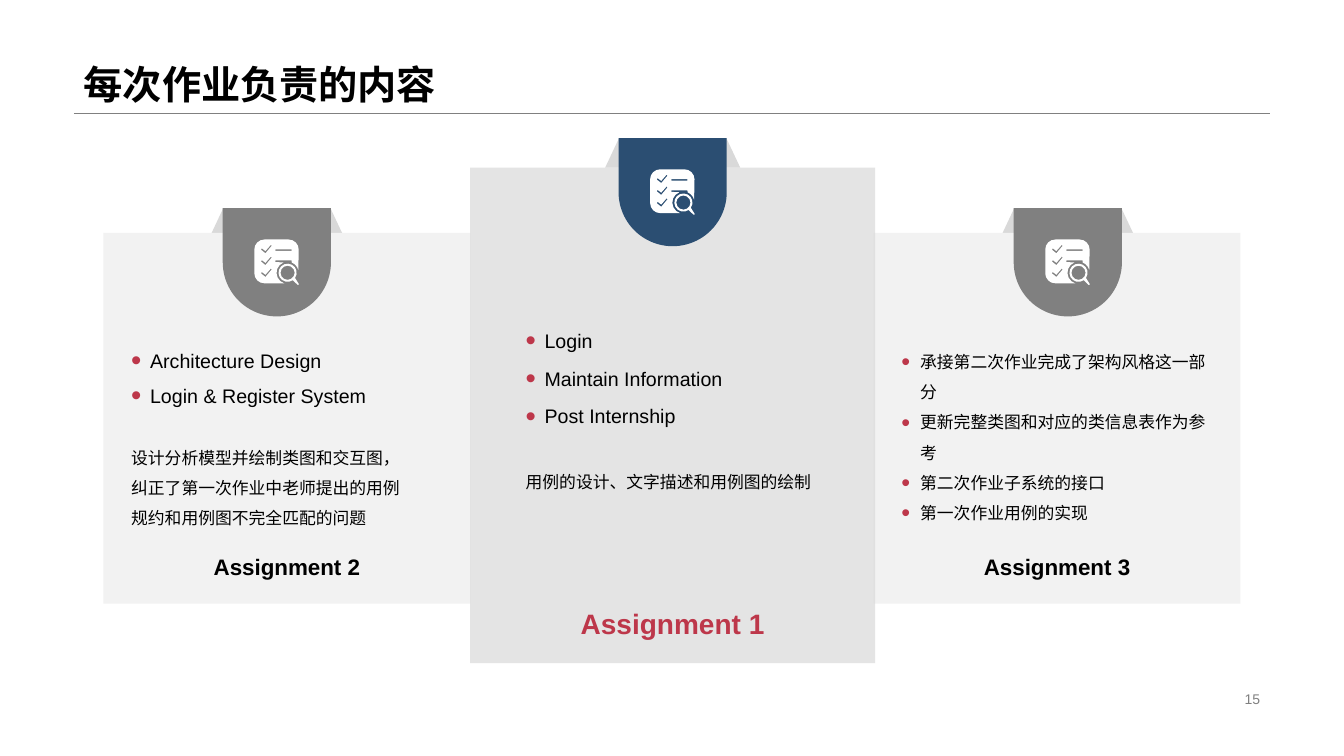
import dataclasses
import math

import lxml.etree
import pptx
import pptx.dml.color
import pptx.enum.shapes
import pptx.enum.text
import pptx.oxml.ns
import pptx.util

SHAPES = pptx.enum.shapes.MSO_SHAPE
ALIGN = pptx.enum.text.PP_ALIGN
ANCHOR = pptx.enum.text.MSO_ANCHOR

# The slide is a grid of 40 columns by 22.5 rows of square cells
SLIDE_WIDTH, SLIDE_HEIGHT = pptx.util.Inches(13.33), pptx.util.Inches(7.5)
CELL = SLIDE_WIDTH / 40
CENTRE = 20.02


@dataclasses.dataclass(frozen=True)
class Theme:
    font: str = "Arial"
    black: str = "000000"
    white: str = "FFFFFF"
    red: str = "BD374A"
    navy: str = "2B4E72"
    grey: str = "808080"
    fold: str = "D9D9D9"
    card: str = "F2F2F2"
    title_size: int = 28
    main_label_size: int = 20
    label_size: int = 16
    item_size: int = 14
    note_size: int = 12
    page_size: int = 10


THEME = Theme()


@dataclasses.dataclass(frozen=True)
class Card:
    label: str
    centre: float
    badge_centre: float
    top: float
    width: float
    height: float
    badge_top: float
    badge_colour: str
    text_area: tuple
    items: tuple
    item_size: int
    spacing: float = 1.5
    note: str = ""
    main: bool = False


def side_card(label, side, text_area, items, item_size, note=""):
    return Card(label, 20 + side * 11.46, 20.01 + side * 11.77, 6.93, 10.92, 11.04,
                6.2, THEME.grey, text_area, items, item_size, note=note)


CARDS = (
    side_card("Assignment 3", 1, (26.53, 9.72, 9.9, 6.3),
              ("承接第二次作业完成了架构风格这一部分", "更新完整类图和对应的类信息表作为参考",
               "第二次作业子系统的接口", "第一次作业用例的实现"), THEME.note_size),
    side_card("Assignment 2", -1, (3.61, 9.72, 8.79, 6.3),
              ("Architecture Design", "Login & Register System"), THEME.item_size,
              "设计分析模型并绘制类图和交互图，纠正了第一次作业中老师提出的用例规约和用例图不完全匹配的问题"),
    Card("Assignment 1", CENTRE, CENTRE, 4.99, 12.06, 14.75, 4.11, THEME.navy,
         (15.35, 7.8, 9.15, 8.43), ("Login", "Maintain Information", "Post Internship"),
         THEME.item_size, 1.6, "用例的设计、文字描述和用例图的绘制", True),
)


def grid(*cells):
    return [round(cell * CELL) for cell in cells]


def colour(code):
    return pptx.dml.color.RGBColor.from_string(code)


def add_child(parent, tag, **attributes):
    return lxml.etree.SubElement(parent, pptx.oxml.ns.qn(tag), attributes)


def paint(shape, fill):
    shape.shadow.inherit = False
    shape.fill.solid()
    shape.fill.fore_color.rgb = colour(fill)
    shape.line.fill.background()


def add_shape(page, kind, area, fill, adjustments=()):
    shape = page.shapes.add_shape(kind, *grid(*area))
    paint(shape, fill)
    for index, value in enumerate(adjustments):
        shape.adjustments[index] = value
    return shape


def add_rule(page, start, end):
    rule = page.shapes.add_connector(pptx.enum.shapes.MSO_CONNECTOR.STRAIGHT,
                                     *grid(*start, *end))
    rule.line.color.rgb = colour(THEME.grey)
    rule.line.width = pptx.util.Pt(0.25)
    add_child(rule._element.spPr, "a:effectLst")


def add_span(para, text, size, text_colour=THEME.black, bold=False):
    span = para.add_run()
    span.text = text
    span.font.name = THEME.font
    span.font.size = pptx.util.Pt(size)
    span.font.bold = bold
    span.font.color.rgb = colour(text_colour)


def add_text_box(page, area, anchor):
    frame = page.shapes.add_textbox(*grid(*area)).text_frame
    frame.word_wrap = True
    frame.vertical_anchor = anchor
    return frame


def add_bullet(para):
    settings = para._p.get_or_add_pPr()
    settings.set("marL", "171450")
    settings.set("indent", "-171450")
    add_child(add_child(settings, "a:buClr"), "a:srgbClr", val=THEME.red)
    add_child(settings, "a:buSzPct", val="150000")
    add_child(settings, "a:buFont", typeface=THEME.font)
    add_child(settings, "a:buChar", char="•")


def add_panel(page, card):
    left = card.centre - card.width / 2
    panel = add_shape(page, SHAPES.RECTANGLE, (left, card.top, card.width, card.height),
                      THEME.fold if card.main else THEME.card)
    if card.main:
        fill = panel._element.spPr.find(pptx.oxml.ns.qn("a:solidFill"))
        add_child(fill[0], "a:alpha", val="70000")
    frame = panel.text_frame
    frame.word_wrap = True
    frame.vertical_anchor = ANCHOR.BOTTOM
    frame.margin_bottom = pptx.util.Inches(0.23)
    para = frame.paragraphs[0]
    para.alignment = ALIGN.CENTER
    if card.main:
        add_span(para, card.label, THEME.main_label_size, THEME.red, True)
    else:
        add_span(para, card.label, THEME.label_size, bold=True)


def arc(x, y, radius, start, end, steps):
    angles = [math.radians(start + (end - start) * step / steps) for step in range(steps + 1)]
    return [(x + radius * math.cos(angle), y + radius * math.sin(angle)) for angle in angles]


def icon_contours():
    """Checklist with a magnifier, in hundredths of an inch."""
    lens = (33, 33)
    sheet = [*arc(10, 10, 10, 180, 270, 4), *arc(34, 10, 10, 270, 360, 4),
             *arc(*lens, 11, -15, -68, 3), (37, 20.8), (21, 20.8), (21, 22.4),
             *arc(*lens, 11, -112, -253, 6), *arc(10, 33.5, 10, 90, 180, 4)]
    glass = [*arc(*lens, 9, 55, 395, 14), (44, 44), (44, 45), (43, 45)]
    bar = [(21, 9.7), (37, 9.7), (37, 11.3), (21, 11.3)]
    check = [(16.5, 28.7), (11, 35), (7.5, 32.3), (6.5, 33.5), (11, 37.2), (17.2, 29.8)]
    checks = [[(x, y - rise) for x, y in check] for rise in (0, 11.8, 23.5)]
    return [sheet, glass, arc(*lens, 7, 0, 330, 11), bar, *checks]


def add_icon(page, left, top):
    origin = grid(left, top)
    unit = pptx.util.Inches(0.01)
    contours = [[(round(origin[0] + x * unit), round(origin[1] + y * unit)) for x, y in contour]
                for contour in icon_contours()]
    builder = page.shapes.build_freeform(*contours[0][0])
    for contour in contours:
        if contour is not contours[0]:
            builder.move_to(*contour[0])
        builder.add_line_segments(contour[1:], close=True)
    paint(builder.convert_to_shape(), THEME.white)


def add_badge(page, card):
    left = card.badge_centre - 1.61
    add_shape(page, SHAPES.ROUND_2_SAME_RECTANGLE, (left, card.badge_top, 3.22, 3.22),
              card.badge_colour, [0, 0.5])
    add_icon(page, left + 0.94, card.badge_top + 0.93)


def add_content(page, card):
    frame = add_text_box(page, card.text_area, ANCHOR.MIDDLE)
    for index, item in enumerate(card.items):
        para = frame.add_paragraph() if index else frame.paragraphs[0]
        para.line_spacing = card.spacing
        add_bullet(para)
        add_span(para, item, card.item_size)
    if card.note:
        para = frame.add_paragraph()
        para.line_spacing = card.spacing
        para.space_before = pptx.util.Pt(round(14.3 * card.spacing, 1))
        add_span(para, card.note, THEME.note_size)


def main():
    deck = pptx.Presentation()
    deck.slide_width, deck.slide_height = SLIDE_WIDTH, SLIDE_HEIGHT
    page = deck.slides.add_slide(deck.slide_layouts[6])

    # Heading and page number
    add_rule(page, (2.2, 3.37), (37.8, 3.37))
    title = add_text_box(page, (2.2, 0, 35.6, 3.37), ANCHOR.BOTTOM).paragraphs[0]
    title.line_spacing = 0.9
    add_span(title, "每次作业负责的内容", THEME.title_size, bold=True)
    number = add_text_box(page, (28.26, 20.46, 9.54, 0.69), ANCHOR.MIDDLE).paragraphs[0]
    number.alignment = ALIGN.RIGHT
    add_span(number, "15", THEME.page_size, THEME.grey)

    # Folds lie behind the panels, badges and text in front
    for card in CARDS:
        add_shape(page, SHAPES.TRAPEZOID, (card.badge_centre - 2.01, card.badge_top, 4.02, 0.88),
                  THEME.fold, [0.47])
    for add_part in (add_panel, add_badge, add_content):
        for card in CARDS:
            add_part(page, card)

    deck.save("out.pptx")


if __name__ == "__main__":
    main()
